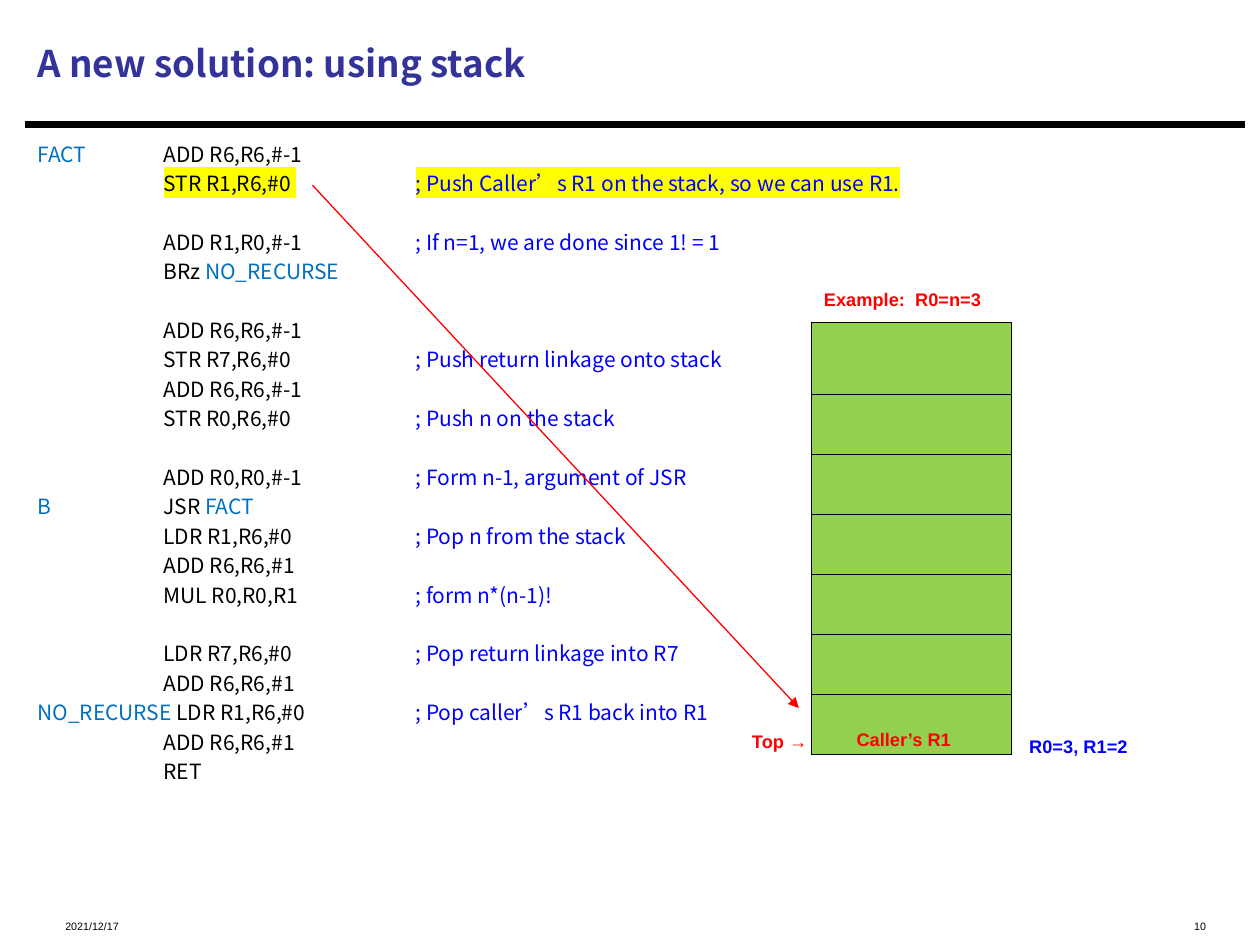
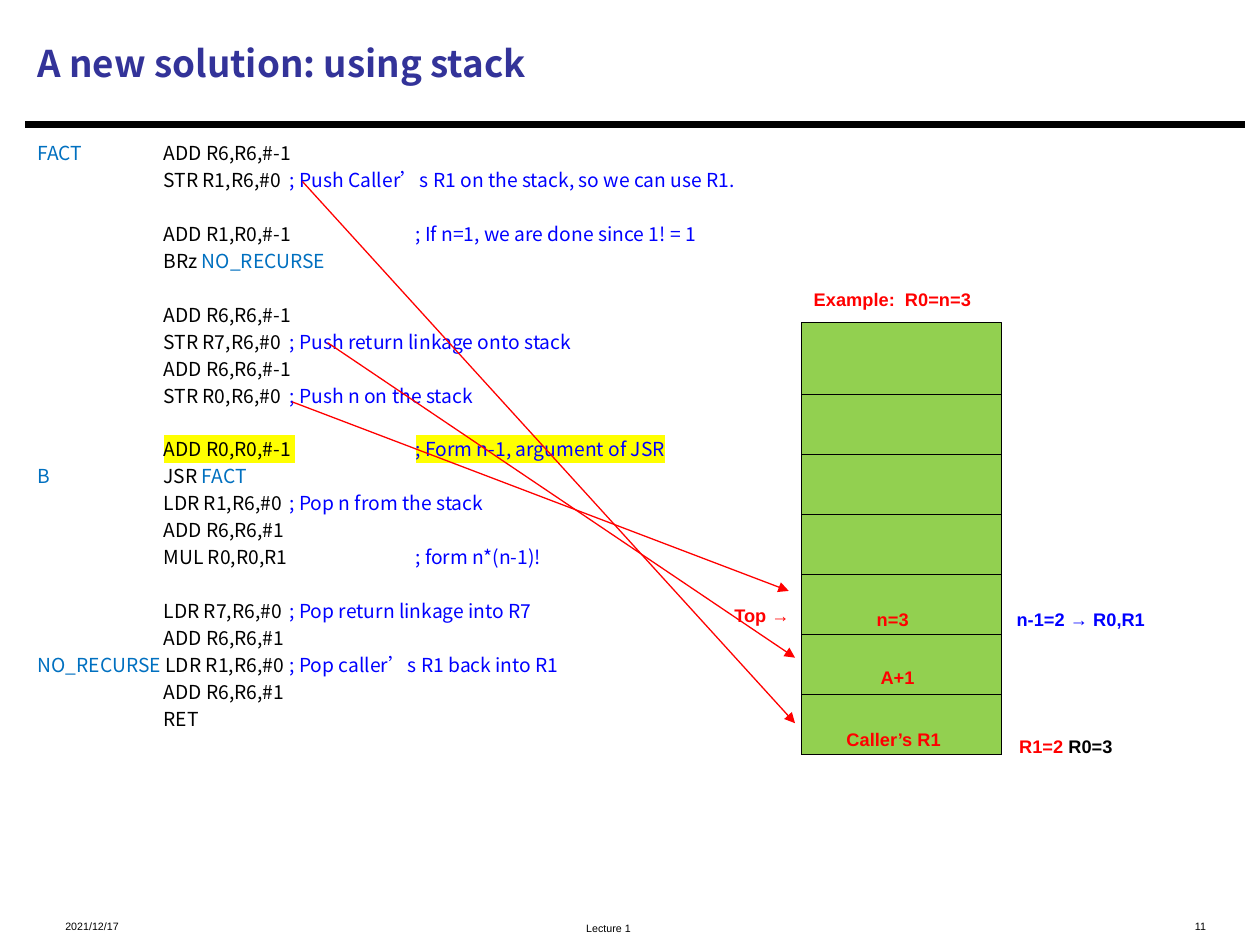
from dataclasses import dataclass
from typing import Optional

from lxml import etree
from pptx import Presentation
from pptx.dml.color import RGBColor
from pptx.enum.shapes import MSO_CONNECTOR, MSO_SHAPE
from pptx.enum.text import MSO_ANCHOR, PP_ALIGN
from pptx.oxml.ns import qn
from pptx.slide import Slide
from pptx.util import Inches, Pt

BLACK = RGBColor(0x00, 0x00, 0x00)
TITLE_BLUE = RGBColor(0x33, 0x33, 0x99)
SYMBOL_BLUE = RGBColor(0x00, 0x70, 0xC0)
COMMENT_BLUE = RGBColor(0x00, 0x00, 0xFF)
RED = RGBColor(0xFF, 0x00, 0x00)
STACK_GREEN = RGBColor(0x92, 0xD0, 0x50)
YELLOW = RGBColor(0xFF, 0xFF, 0x00)

LEFT, CENTER, RIGHT = PP_ALIGN.LEFT, PP_ALIGN.CENTER, PP_ALIGN.RIGHT
TOP, MIDDLE = MSO_ANCHOR.TOP, MSO_ANCHOR.MIDDLE
STRAIGHT = MSO_CONNECTOR.STRAIGHT
RECTANGLE = MSO_SHAPE.RECTANGLE

CODE_FONT = "Noto Sans CJK SC"
LABEL_FONT = "Arial"
SUBSCRIPT = "-25000"
CODE_TABS = (1, 2, 3)

STACK_TOP, FIRST_DIVIDER, STACK_BOTTOM = 2.56, 3.13, 5.99
STACK_WIDTH = 1.59
EQUAL_CELLS = 6


@dataclass(frozen=True)
class Span:
    text: str
    color: RGBColor = BLACK
    highlight: Optional[RGBColor] = None


@dataclass(frozen=True)
class Instruction:
    code: str
    comment: str = ""
    symbol: str = ""
    target: str = ""
    starts_group: bool = False


@dataclass(frozen=True)
class Label:
    left: float
    top: float
    width: float
    spans: tuple[Span, ...]


@dataclass(frozen=True)
class Arrow:
    x1: float
    y1: float
    x2: float
    y2: float


@dataclass(frozen=True)
class Step:
    number: str
    code_size: float
    highlighted: str
    stack_left: float
    labels: tuple[Label, ...]
    arrows: tuple[Arrow, ...]
    footer: str = ""


PROGRAM = (
    Instruction("ADD R6,R6,#-1", symbol="FACT"),
    Instruction("STR R1,R6,#0", "; Push Caller’s R1 on the stack, so we can use R1."),
    Instruction("ADD R1,R0,#-1", "; If n=1, we are done since 1! = 1", starts_group=True),
    Instruction("BRz", target="NO_RECURSE"),
    Instruction("ADD R6,R6,#-1", starts_group=True),
    Instruction("STR R7,R6,#0", "; Push return linkage onto stack"),
    Instruction("ADD R6,R6,#-1"),
    Instruction("STR R0,R6,#0", "; Push n on the stack"),
    Instruction("ADD R0,R0,#-1", "; Form n-1, argument of JSR", starts_group=True),
    Instruction("JSR", symbol="B", target="FACT"),
    Instruction("LDR R1,R6,#0", "; Pop n from the stack"),
    Instruction("ADD R6,R6,#1"),
    Instruction("MUL R0,R0,R1", "; form n*(n-1)!"),
    Instruction("LDR R7,R6,#0", "; Pop return linkage into R7", starts_group=True),
    Instruction("ADD R6,R6,#1"),
    Instruction("LDR R1,R6,#0", "; Pop caller’s R1 back into R1", symbol="NO_RECURSE"),
    Instruction("ADD R6,R6,#1"),
    Instruction("RET"),
)

STEPS = (
    Step(
        "10", 12, "STR R1,R6,#0", 6.44,
        (
            Label(8.07, 5.62, 1.3, (Span("R0=3, R1=2", COMMENT_BLUE),)),
            Label(5.87, 5.58, 1.3, (Span("Top →", RED),)),
        ),
        (Arrow(2.48, 1.47, 6.34, 5.62),),
    ),
    Step(
        "11", 11, "ADD R0,R0,#-1", 6.36,
        (
            Label(7.99, 5.62, 1.3, (Span("R1=2 ", RED), Span("R0=3"))),
            Label(5.73, 4.58, 1.3, (Span("Top →", RED),)),
            Label(6.89, 5.07, 1.06, (Span("A+1", RED),)),
            Label(6.86, 4.61, 1.06, (Span("n=3", RED),)),
            Label(7.97, 4.61, 1.52, (Span("n-1=2 → R0,R1", COMMENT_BLUE),)),
        ),
        (
            Arrow(2.6, 2.72, 6.31, 5.22),
            Arrow(2.32, 3.19, 6.26, 4.69),
            Arrow(2.4, 1.44, 6.31, 5.74),
        ),
        footer="Lecture 1",
    ),
)


def add_spans(paragraph, spans: tuple[Span, ...], *, size: float, font: str,
              bold: bool = False, lowered: bool = False) -> None:
    for span in spans:
        run = paragraph.add_run()
        run.text = span.text
        run.font.size = Pt(size)
        run.font.bold = bold
        run.font.color.rgb = span.color
        properties = run.font._element
        if span.highlight is not None:
            marker = etree.SubElement(properties, qn("a:highlight"))
            etree.SubElement(marker, qn("a:srgbClr"), val=str(span.highlight))
        run.font.name = font
        etree.SubElement(properties, qn("a:ea"), typeface=font)
        if lowered:
            properties.set("baseline", SUBSCRIPT)


def add_frame(slide: Slide, left: float, top: float, width: float, height: float,
              anchor: MSO_ANCHOR = TOP):
    frame = slide.shapes.add_textbox(
        Inches(left), Inches(top), Inches(width), Inches(height)).text_frame
    frame.word_wrap = True
    frame.vertical_anchor = anchor
    return frame


def add_text(slide: Slide, left: float, top: float, width: float, height: float,
             *spans: Span, size: float, font: str = LABEL_FONT, bold: bool = False,
             lowered: bool = True, align: PP_ALIGN = LEFT,
             anchor: MSO_ANCHOR = TOP) -> None:
    paragraph = add_frame(slide, left, top, width, height, anchor).paragraphs[0]
    paragraph.alignment = align
    add_spans(paragraph, spans, size=size, font=font, bold=bold, lowered=lowered)


def add_line(slide: Slide, x1: float, y1: float, x2: float, y2: float, *,
             color: RGBColor = BLACK, weight: float = 0.75, arrowhead: bool = False) -> None:
    connector = slide.shapes.add_connector(
        STRAIGHT, Inches(x1), Inches(y1), Inches(x2), Inches(y2))
    connector.line.color.rgb = color
    connector.line.width = Pt(weight)
    properties = connector._element.spPr
    if arrowhead:
        etree.SubElement(properties.find(qn("a:ln")), qn("a:tailEnd"), type="triangle")
    etree.SubElement(properties, qn("a:effectLst"))


def add_page_frame(slide: Slide, step: Step) -> None:
    add_line(slide, 0.2, 0.99, 9.88, 0.99, weight=3.75)
    add_text(slide, 0.2, 0.08, 9.67, 0.84, Span("A new solution: using stack", TITLE_BLUE),
             size=21, font=CODE_FONT, bold=True, lowered=False, anchor=MIDDLE)
    add_text(slide, 0.42, 7.15, 2.5, 0.27, Span("2021/12/17"), size=10.5)
    if step.footer:
        add_text(slide, 3.08, 7.17, 3.5, 0.25, Span(step.footer), size=10.5, align=CENTER)
    add_text(slide, 6.67, 7.15, 3, 0.27, Span(step.number), size=10.5, align=RIGHT)


def instruction_spans(instruction: Instruction, highlighted: bool) -> tuple[Span, ...]:
    highlight = YELLOW if highlighted else None
    separator = " " if instruction.symbol == "NO_RECURSE" else "\t"
    spans = [Span(instruction.symbol + separator, SYMBOL_BLUE)]
    if instruction.target:
        spans += [Span(instruction.code + " "), Span(instruction.target, SYMBOL_BLUE)]
    elif instruction.comment:
        spans += [Span(instruction.code + " \t", BLACK, highlight),
                  Span(instruction.comment, COMMENT_BLUE, highlight)]
    else:
        spans.append(Span(instruction.code))
    return tuple(spans)


def set_code_tabs(paragraph) -> None:
    tab_list = etree.SubElement(paragraph._p.get_or_add_pPr(), qn("a:tabLst"))
    for position in CODE_TABS:
        etree.SubElement(tab_list, qn("a:tab"), pos=str(Inches(position)), algn="l")


def add_program(slide: Slide, size: float, highlighted: str) -> None:
    frame = add_frame(slide, 0.2, 1.07, 9.67, 5.99)
    line_gap, line_pitch = 0.2 * size, 1.4 * size
    for index, instruction in enumerate(PROGRAM):
        paragraph = frame.add_paragraph() if index else frame.paragraphs[0]
        paragraph.space_before = Pt(
            line_gap + (line_pitch if instruction.starts_group else 0))
        set_code_tabs(paragraph)
        spans = instruction_spans(instruction, instruction.code == highlighted)
        add_spans(paragraph, spans, size=size, font=CODE_FONT)


def add_stack(slide: Slide, left: float) -> None:
    stack = slide.shapes.add_shape(
        RECTANGLE, Inches(left), Inches(STACK_TOP),
        Inches(STACK_WIDTH), Inches(STACK_BOTTOM - STACK_TOP))
    stack.shadow.inherit = False
    stack.fill.solid()
    stack.fill.fore_color.rgb = STACK_GREEN
    stack.line.color.rgb = BLACK
    stack.line.width = Pt(0.75)
    cell_height = (STACK_BOTTOM - FIRST_DIVIDER) / EQUAL_CELLS
    for cell in range(EQUAL_CELLS + 1):
        y = FIRST_DIVIDER + cell * cell_height
        add_line(slide, left, y, left + STACK_WIDTH, y)


def add_step(slide: Slide, step: Step) -> None:
    add_page_frame(slide, step)
    add_program(slide, step.code_size, step.highlighted)
    add_stack(slide, step.stack_left)
    shared_labels = (
        Label(step.stack_left, 2.07, STACK_WIDTH, (Span("Example:  R0=n=3", RED),)),
        Label(step.stack_left + 0.26, 5.56, 1.06, (Span("Caller’s R1", RED),)),
    )
    for label in shared_labels + step.labels:
        add_text(slide, label.left, label.top, label.width, 0.3, *label.spans,
                 size=18, bold=True)
    for arrow in step.arrows:
        add_line(slide, arrow.x1, arrow.y1, arrow.x2, arrow.y2, color=RED, arrowhead=True)


def main() -> None:
    presentation = Presentation()
    presentation.slide_width = Inches(10)
    presentation.slide_height = Inches(7.5)
    blank_layout = presentation.slide_layouts[6]
    for step in STEPS:
        add_step(presentation.slides.add_slide(blank_layout), step)
    presentation.save("out.pptx")


if __name__ == "__main__":
    main()
